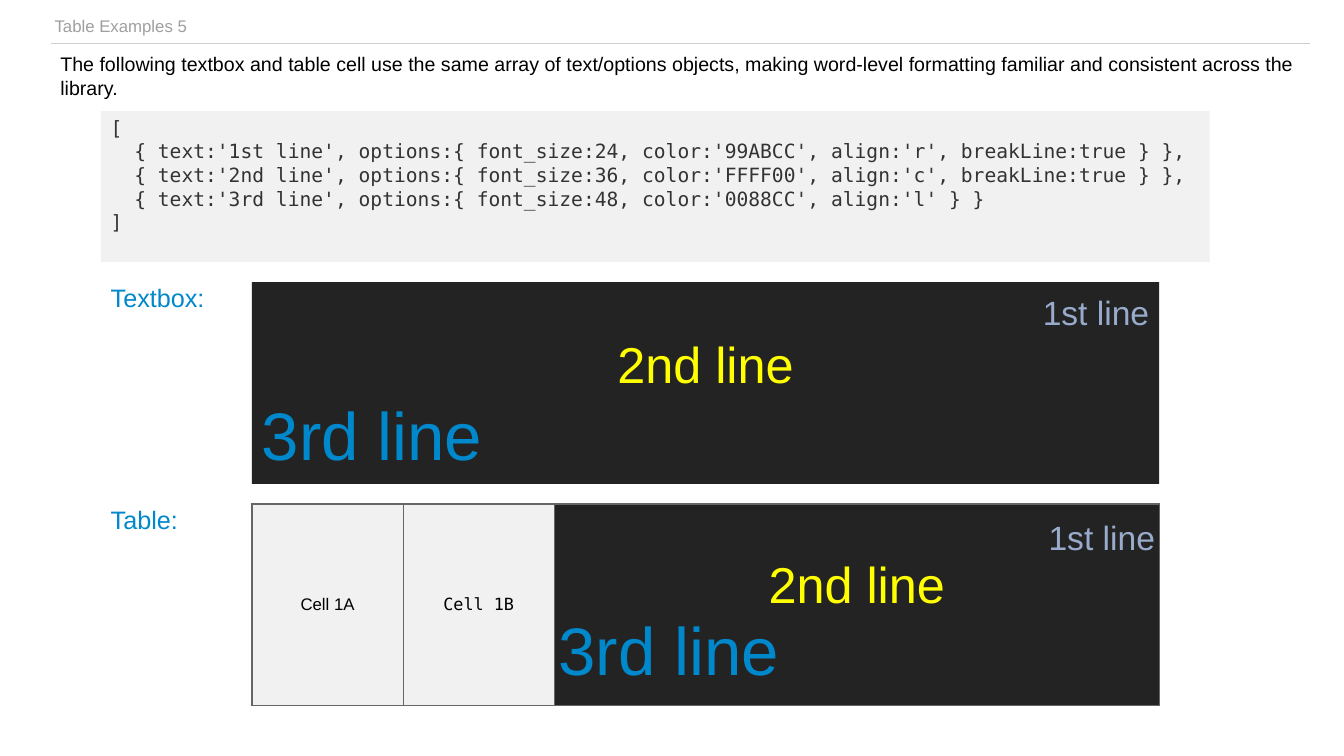
"""Build a slide that sets a text box beside a table cell with the same text runs."""
from dataclasses import dataclass
from typing import Optional

from pptx import Presentation
from pptx.dml.color import RGBColor
from pptx.enum.shapes import MSO_SHAPE
from pptx.enum.text import MSO_ANCHOR, PP_ALIGN
from pptx.oxml import parse_xml
from pptx.oxml.ns import nsdecls
from pptx.slide import Slide
from pptx.table import _Cell
from pptx.text.text import TextFrame
from pptx.util import Pt

HUES = {"title": "9F9F9F", "rule": "CFCFCF", "ink": "000000", "code": "333333",
        "pale": "F1F1F1", "dark": "232323", "edge": "666666",
        "first": "99ABCC", "second": "FFFF00", "third": "0088CC"}
SANS, MONO = "Arial", "DejaVu Sans Mono"
INSET = {f"margin_{side}": Pt(3) for side in ("left", "right", "top", "bottom")}


@dataclass
class Line:
    """One paragraph and its format."""
    text: str
    size: int
    hue: str
    align: PP_ALIGN = PP_ALIGN.LEFT
    font: str = SANS


@dataclass
class Box:
    """A text block, filled or plain."""
    left: float
    top: float
    width: float
    height: float
    lines: list[Line]
    fill: Optional[str] = None
    anchor: MSO_ANCHOR = MSO_ANCHOR.MIDDLE


@dataclass
class Cell:
    """A table cell."""
    lines: list[Line]
    width: float
    fill: Optional[str] = None


@dataclass
class Grid:
    """A one-row table with ruled sides."""
    left: float
    top: float
    height: float
    cells: list[Cell]
    sides: str
    edge: str
    anchor: MSO_ANCHOR = MSO_ANCHOR.MIDDLE


CODE = """[
  { text:'1st line', options:{ font_size:24, color:'99ABCC', align:'r', breakLine:true } },
  { text:'2nd line', options:{ font_size:36, color:'FFFF00', align:'c', breakLine:true } },
  { text:'3rd line', options:{ font_size:48, color:'0088CC', align:'l' } }
]"""
INTRO = ("The following textbox and table cell use the same array of text/options objects, "
         "making word-level formatting familiar and consistent across the library.")
TRIO = [Line("1st line", 24, "first", PP_ALIGN.RIGHT),
        Line("2nd line", 36, "second", PP_ALIGN.CENTER),
        Line("3rd line", 48, "third")]
BOXES = [
    Box(36, 36, 912, 36, [Line(INTRO, 14, "ink")]),
    Box(72, 79.2, 792, 108, [Line(CODE, 14, "code", font=MONO)], "pale", MSO_ANCHOR.TOP),
    Box(72, 201.6, 216, 21.6, [Line("Textbox:", 18, "third")]),
    Box(180, 201.6, 648, 144, TRIO, "dark"),
    Box(72, 360, 216, 21.6, [Line("Table:", 18, "third")]),
]
GRIDS = [
    Grid(36, 9.36, 21.6, [Cell([Line("Table Examples 5", 12, "title")], 900)],
         "B", "rule", MSO_ANCHOR.TOP),
    Grid(180, 360, 144,
         [Cell([Line("Cell 1A", 12, "ink", PP_ALIGN.CENTER)], 108, "pale"),
          Cell([Line("Cell 1B", 12, "ink", PP_ALIGN.CENTER, MONO)], 108, "pale"),
          Cell(TRIO, 432, "dark")],
         "LRTB", "edge"),
]


def tint(key: str) -> RGBColor:
    """Look up a colour."""
    return RGBColor.from_string(HUES[key])


def apply(target: object, form: dict) -> None:
    """Set each format value on the target."""
    for name, value in form.items():
        setattr(target, name, value)


def write(frame: TextFrame, lines: list[Line]) -> None:
    """Fill a text frame with lines."""
    for spot, line in enumerate(lines):
        para = frame.add_paragraph() if spot else frame.paragraphs[0]
        para.text = line.text
        para.alignment = line.align
        for run in para.runs:
            apply(run.font, {"name": line.font, "size": Pt(line.size)})
            run.font.color.rgb = tint(line.hue)


def add_box(slide: Slide, box: Box) -> None:
    """Draw a text block."""
    area = [Pt(n) for n in (box.left, box.top, box.width, box.height)]
    if box.fill:
        shape = slide.shapes.add_shape(MSO_SHAPE.RECTANGLE, *area)
        shape.shadow.inherit = False
        shape.fill.solid()
        shape.fill.fore_color.rgb = tint(box.fill)
        shape.line.fill.background()
    else:
        shape = slide.shapes.add_textbox(*area)
    apply(shape.text_frame, {"word_wrap": True, "vertical_anchor": box.anchor})
    write(shape.text_frame, box.lines)


def add_edge(cell: _Cell, sides: str, hue: str) -> None:
    """Rule the given sides of a cell."""
    props = cell._tc.get_or_add_tcPr()
    for spot, side in enumerate(sides):
        props.insert(spot, parse_xml(
            f'<a:ln{side} {nsdecls("a")} w="{Pt(1)}"><a:solidFill>'
            f'<a:srgbClr val="{HUES[hue]}"/></a:solidFill></a:ln{side}>'))


def add_grid(slide: Slide, grid: Grid) -> None:
    """Draw a one-row table."""
    width = sum(cell.width for cell in grid.cells)
    area = [Pt(n) for n in (grid.left, grid.top, width, grid.height)]
    table = slide.shapes.add_table(1, len(grid.cells), *area).table
    apply(table, {"first_row": False, "horz_banding": False})
    for spot, item in enumerate(grid.cells):
        table.columns[spot].width = Pt(item.width)
        cell = table.cell(0, spot)
        apply(cell, {**INSET, "vertical_anchor": grid.anchor})
        if item.fill:
            cell.fill.solid()
            cell.fill.fore_color.rgb = tint(item.fill)
        else:
            cell.fill.background()
        add_edge(cell, grid.sides, grid.edge)
        write(cell.text_frame, item.lines)


def main() -> None:
    """Build and save the deck."""
    deck = Presentation()
    apply(deck, {"slide_width": Pt(960), "slide_height": Pt(540)})
    slide = deck.slides.add_slide(deck.slide_layouts[6])
    head, body = GRIDS
    add_grid(slide, head)
    for box in BOXES:
        add_box(slide, box)
    add_grid(slide, body)
    deck.save("out.pptx")


if __name__ == "__main__":
    main()
